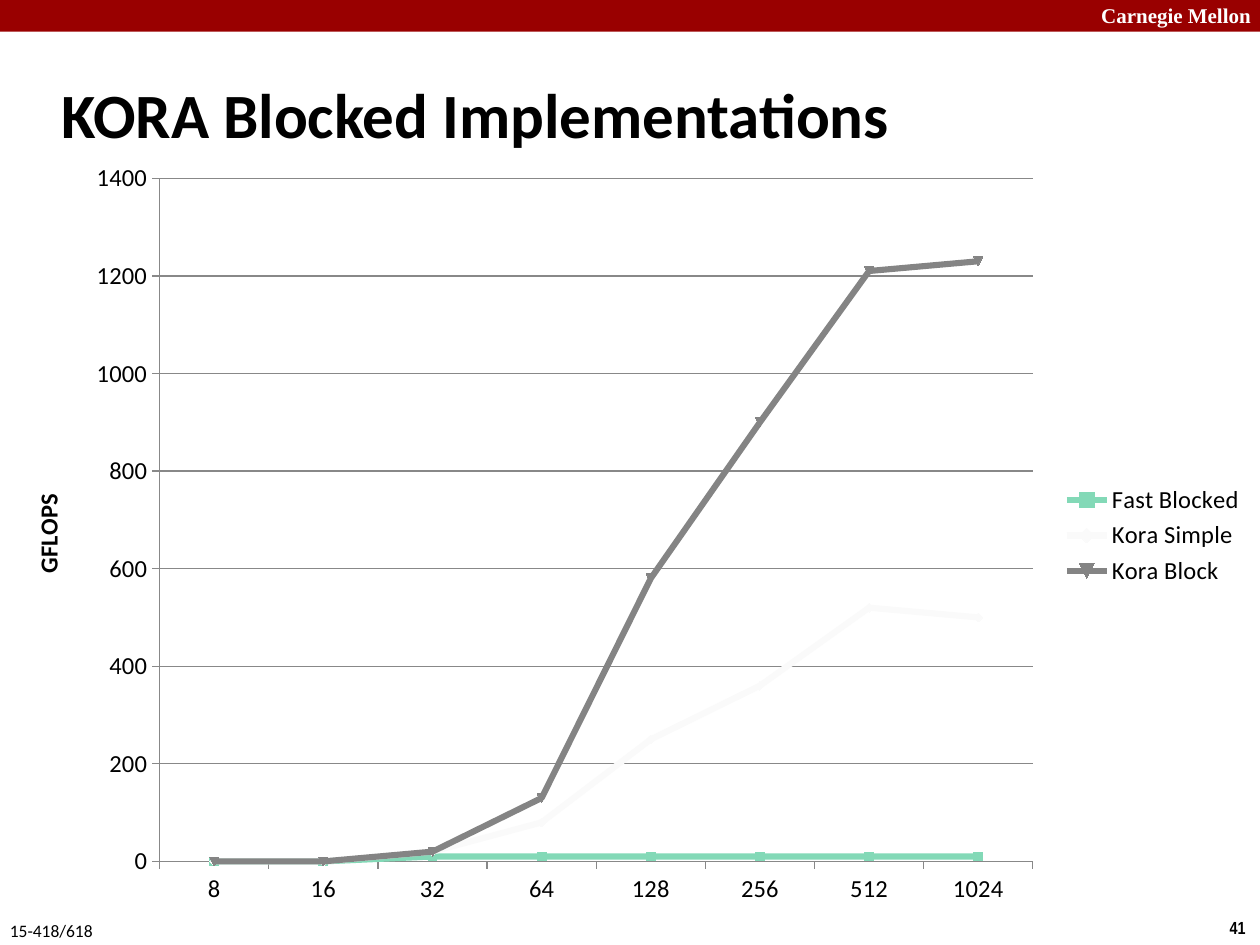
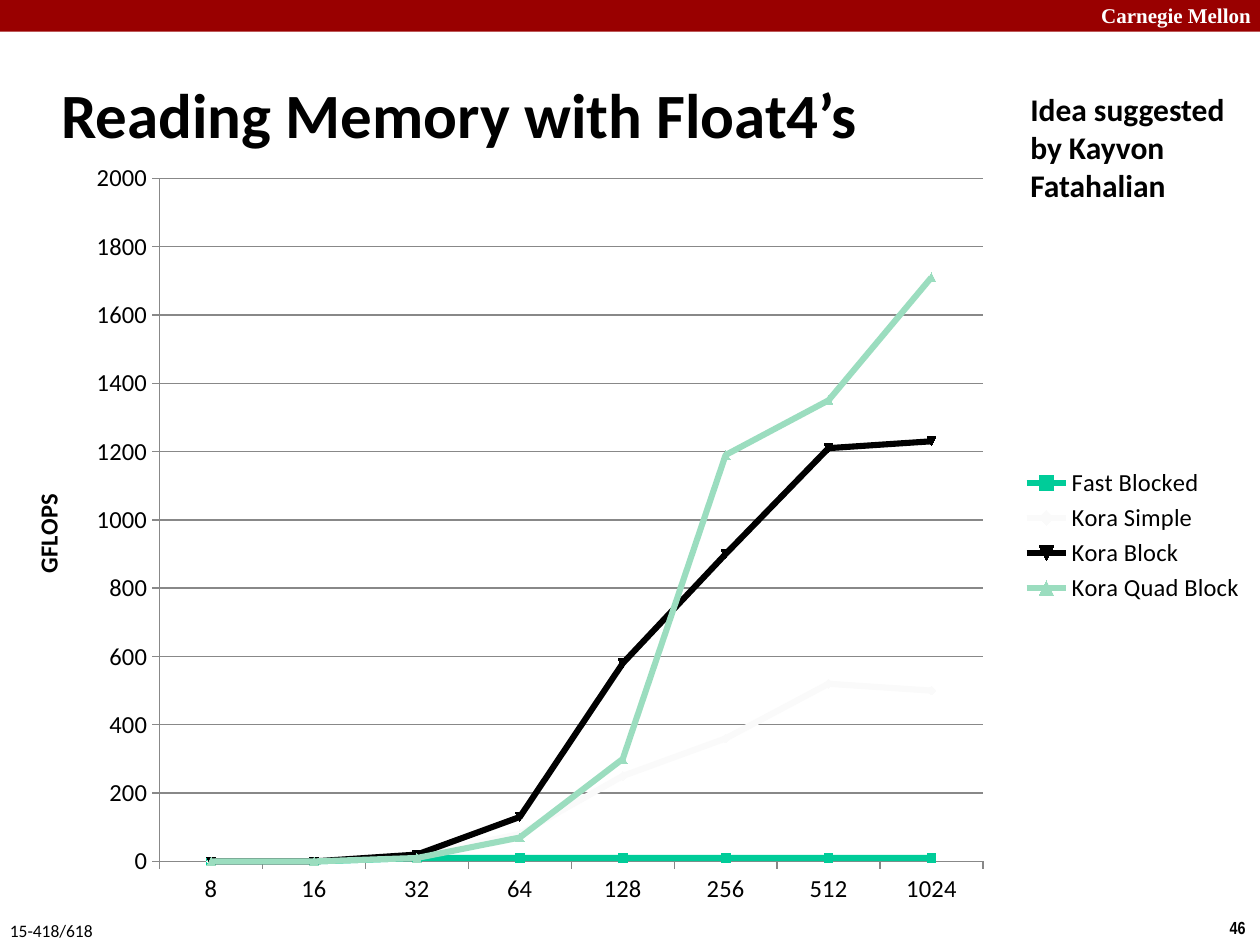
from lxml.etree import SubElement
from pptx import Presentation
from pptx.chart.data import CategoryChartData
from pptx.dml.color import RGBColor
from pptx.enum.chart import XL_CHART_TYPE, XL_LEGEND_POSITION, XL_TICK_MARK
from pptx.enum.shapes import MSO_SHAPE
from pptx.enum.text import MSO_ANCHOR
from pptx.oxml.ns import qn
from pptx.util import Cm, Pt

COLORS = {
    "band": "990000", "white": "FFFFFF", "black": "000000", "axis": "888888",
    "pale": "FAFAFA", "gray": "848484", "green": "00CC99",
    "soft green": "83D9B7", "light green": "9BDDBF",
}
MATRIX_SIZES = ["8", "16", "32", "64", "128", "256", "512", "1024"]
GFLOPS = {
    "Fast Blocked": [0, 0, 10, 10, 10, 10, 10, 10],
    "Kora Simple": [0, 0, 20, 80, 250, 360, 520, 500],
    "Kora Block": [0, 0, 20, 130, 580, 900, 1210, 1230],
    "Kora Quad Block": [0, 0, 10, 70, 300, 1190, 1350, 1710],
}


def color(name):
    """Return the named colour."""
    return RGBColor.from_string(COLORS[name])


def set_font(font, size, name="Calibri", fill="black", bold=False):
    """Format a font."""
    font.size, font.name, font.bold = Pt(size), name, bold
    font.color.rgb = color(fill)


def add_text(slide, text, at, wrap=True, anchor=MSO_ANCHOR.TOP, **style):
    """Add a text box placed by left, top, width and height in centimetres."""
    frame = slide.shapes.add_textbox(*map(Cm, at)).text_frame
    frame.word_wrap = wrap
    frame.vertical_anchor = anchor
    span = frame.paragraphs[0].add_run()
    span.text = text
    set_font(span.font, **style)


def add_frame(deck, title, number):
    """Add a slide with the band, footers and title that all slides share."""
    slide = deck.slides.add_slide(deck.slide_layouts[6])
    band = slide.shapes.add_shape(MSO_SHAPE.RECTANGLE, 0, 0, deck.slide_width, Cm(0.64))
    band.shadow.inherit = False
    band.fill.solid()
    band.fill.fore_color.rgb = color("band")
    band.line.fill.background()
    add_text(slide, "Carnegie Mellon", (21.95, -0.08, 3.63, 0.76),
             size=12, name="Times New Roman", fill="white", bold=True)
    add_text(slide, str(number), (24.54, 18.36, 0.86, 0.69), wrap=False,
             size=10, name="Arial Narrow", bold=True)
    add_text(slide, "15-418/618", (-0.05, 18.42, 2.21, 0.69), wrap=False, size=10)
    add_text(slide, title, (0.99, 1.24, 21.08, 2.11), anchor=MSO_ANCHOR.MIDDLE,
             size=36, bold=True)
    return slide


def place_plot(chart, **fractions):
    """Fix the inner plot area as fractions of the chart."""
    plot_area = chart.plots[0]._element.getparent()
    for old in plot_area.findall(qn("c:layout")):
        plot_area.remove(old)
    layout = SubElement(plot_area, qn("c:layout"))
    plot_area.insert(0, layout)
    manual = SubElement(layout, qn("c:manualLayout"))
    settings = {"layoutTarget": "inner", "xMode": "edge", "yMode": "edge", **fractions}
    for tag, value in settings.items():
        SubElement(manual, qn(f"c:{tag}")).set("val", str(value))


def style_axes(chart, top, step):
    """Set scale, lines, gridlines and title of the axes."""
    for axis in (chart.category_axis, chart.value_axis):
        axis.major_tick_mark = XL_TICK_MARK.OUTSIDE
        axis.minor_tick_mark = XL_TICK_MARK.NONE
        axis.format.line.color.rgb = color("axis")
        axis.format.line.width = Pt(0.75)
    axis = chart.value_axis
    axis.minimum_scale, axis.maximum_scale, axis.major_unit = 0, top, step
    axis.has_major_gridlines = True
    axis.major_gridlines.format.line.color.rgb = color("axis")
    axis.major_gridlines.format.line.width = Pt(0.75)
    title = axis.axis_title.text_frame
    title.text = "GFLOPS"
    set_font(title.paragraphs[0].runs[0].font, 14, bold=True)


def add_performance_chart(slide, line_colors, top, plot_width):
    """Add the line chart of one series for each line colour."""
    data = CategoryChartData()
    data.categories = MATRIX_SIZES
    for name, values in list(GFLOPS.items())[:len(line_colors)]:
        data.add_series(name, values)
    chart = slide.shapes.add_chart(
        XL_CHART_TYPE.LINE_MARKERS, *map(Cm, (0.2, 2.97, 25.15, 15.65)), data).chart
    set_font(chart.font, 14)
    chart.has_title = False
    chart.has_legend = True
    chart.legend.position = XL_LEGEND_POSITION.RIGHT
    chart.legend.include_in_layout = False
    style_axes(chart, top, step=200)
    place_plot(chart, x=0.12, y=0.04, w=plot_width, h=0.88)
    chart.plots[0].vary_by_categories = False
    for series, line_color in zip(chart.plots[0].series, line_colors):
        series.smooth = False
        series.format.line.width = Pt(3.5)
        series.marker.size = 5
        series.marker.format.fill.solid()
        series.marker.format.fill.fore_color.rgb = color(line_color)
        for line in (series.format.line, series.marker.format.line):
            line.color.rgb = color(line_color)


def main():
    """Build and save the deck."""
    deck = Presentation()
    deck.slide_width, deck.slide_height = Cm(25.4), Cm(19.05)

    slide = add_frame(deck, "KORA Blocked Implementations", 41)
    add_performance_chart(slide, ["soft green", "pale", "gray"], top=1400, plot_width=0.7)

    slide = add_frame(deck, "Reading Memory with Float4’s", 46)
    add_performance_chart(slide, ["green", "pale", "black", "light green"],
                          top=2000, plot_width=0.66)
    add_text(slide, "Idea suggested by Kayvon Fatahalian", (20.52, 1.7, 4.45, 2.57),
             size=18, bold=True)

    deck.save("out.pptx")


if __name__ == "__main__":
    main()
